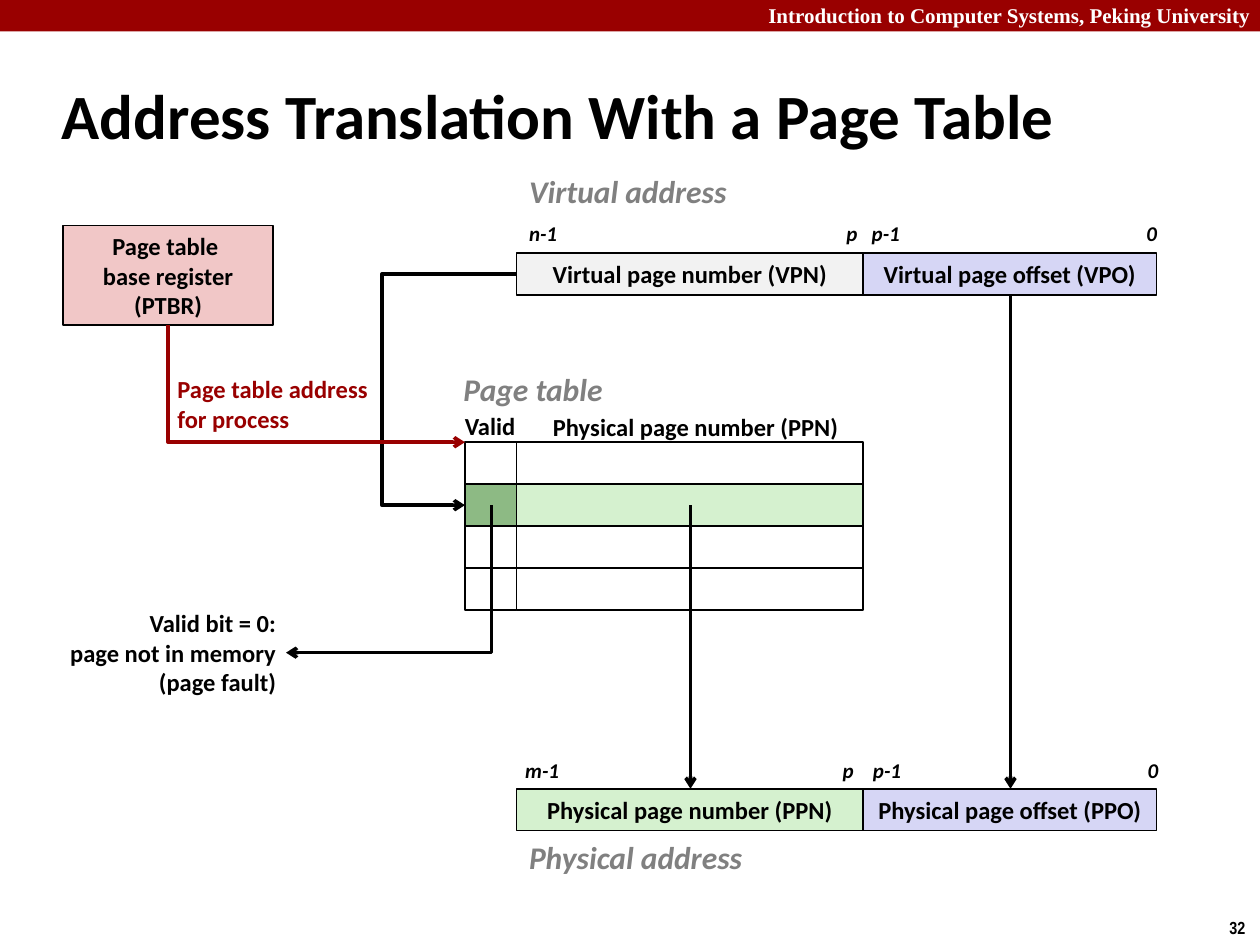
from dataclasses import dataclass
from typing import NamedTuple, Optional

from lxml.etree import SubElement
from pptx import Presentation
from pptx.dml.color import RGBColor
from pptx.enum.shapes import MSO_CONNECTOR, MSO_SHAPE
from pptx.enum.text import MSO_ANCHOR, PP_ALIGN
from pptx.oxml.ns import qn
from pptx.util import Inches, Pt

# The slide is a grid of 100 columns by 75 rows; all lengths count its cells.
COLS, ROWS = 100, 75
CELL = Inches(0.1)


class Style(NamedTuple):
    size: float
    color: str = "000000"
    italic: bool = False
    name: str = "Calibri"


@dataclass(frozen=True)
class Theme:
    ink: str = "000000"
    red: str = "990000"
    pink: str = "F1C7C7"
    gray: str = "F2F2F2"
    blue: str = "D6D6F5"
    green: str = "D5F1CF"
    moss: str = "8DBA84"
    edge: float = 1
    wire: float = 2
    title: Style = Style(36)
    body: Style = Style(14)
    note: Style = Style(14, "990000")
    head: Style = Style(18, "808080", True)
    bit: Style = Style(12, italic=True)
    course: Style = Style(12, "FFFFFF", name="Times New Roman")
    page: Style = Style(10, name="Arial Narrow")


class Area(NamedTuple):
    x: float
    y: float
    w: float
    h: float

    def emu(self) -> list[int]:
        return [round(n * CELL) for n in self]


class Label(NamedTuple):
    text: str
    area: Area
    style: Style
    align: PP_ALIGN = PP_ALIGN.LEFT
    wrap: bool = False


class Box(NamedTuple):
    area: Area
    fill: Optional[str] = None
    text: str = ""


T = Theme()
LINE = 3.33                                  # height of every field and table row
VALID, PAGE, OFF, END = 36.9, 41, 68.5, 91.8  # column edges of the fields
VIRT, TABLE, PHYS = 20.1, 35.1, 62.6         # tops of the three row groups
HIT = TABLE + 1.5 * LINE                     # middle of the entry looked up
MID_BIT, MID_PAGE, MID_OFF = 39, 54.8, 80.2
BASE = Area(5, 17.9, 16.7, 7.9)


def write(frame, text: str, style: Style, align: PP_ALIGN) -> None:
    frame.text = text
    look = {"size": Pt(style.size), "name": style.name, "bold": True, "italic": style.italic}
    for par in frame.paragraphs:
        par.alignment = align
        for key, value in look.items():
            setattr(par.font, key, value)
        par.font.color.rgb = RGBColor.from_string(style.color)


def draw_label(shapes, label: Label) -> None:
    frame = shapes.add_textbox(*label.area.emu()).text_frame
    frame.word_wrap = label.wrap
    write(frame, label.text, label.style, label.align)


def draw_box(shapes, box: Box, edge: bool = True) -> None:
    shape = shapes.add_shape(MSO_SHAPE.RECTANGLE, *box.area.emu())
    shape.shadow.inherit = False
    if box.fill:
        shape.fill.solid()
        shape.fill.fore_color.rgb = RGBColor.from_string(box.fill)
    else:
        shape.fill.background()
    if edge:
        shape.line.color.rgb = RGBColor.from_string(T.ink)
        shape.line.width = Pt(T.edge)
    else:
        shape.line.fill.background()
    if box.text:
        shape.text_frame.vertical_anchor = MSO_ANCHOR.MIDDLE
        write(shape.text_frame, box.text, T.body, PP_ALIGN.CENTER)


def draw_arrow(shapes, x0: float, y0: float, x1: float, y1: float,
               color: str = T.ink, kind=MSO_CONNECTOR.STRAIGHT):
    ends = [round(n * CELL) for n in (x0, y0, x1, y1)]
    wire = shapes.add_connector(kind, *ends)
    wire.line.color.rgb = RGBColor.from_string(color)
    wire.line.width = Pt(T.wire)
    SubElement(wire.line._ln, qn("a:tailEnd"), type="arrow")
    SubElement(wire._element.spPr, qn("a:effectLst"))
    return wire


def draw_loop(shapes, x0: float, y0: float, x1: float, y1: float, turn: float) -> None:
    """Arrow that turns at column `turn`, outside its two ends."""
    wire = draw_arrow(shapes, x0, y0, x1, y1, kind=MSO_CONNECTOR.ELBOW)
    share = round((turn - x0) / (x1 - x0) * 100000)
    guides = wire._element.spPr.prstGeom.get_or_add_avLst()
    SubElement(guides, qn("a:gd"), name="adj1", fmla=f"val {share}")


def draw_corner(shapes, x0: float, y0: float, x1: float, y1: float,
                color: str = T.ink) -> None:
    """Arrow that goes down, then across: a one-bend elbow on its side."""
    mid_x, mid_y = (x0 + x1) / 2, (y0 + y1) / 2
    half_w, half_h = (y1 - y0) / 2, abs(x1 - x0) / 2
    right = x1 > x0
    side = -half_w if right else half_w
    wire = draw_arrow(shapes, mid_x - side, mid_y - half_h, mid_x + side, mid_y + half_h,
                      color, MSO_CONNECTOR.ELBOW)
    props = wire._element.spPr
    props.prstGeom.set("prst", "bentConnector2")
    props.find(qn("a:xfrm")).set("rot", str((270 if right else 90) * 60000))


def draw_bits(shapes, top: float, marks: dict[str, float]) -> None:
    for text, left in marks.items():
        width = 3.3 if len(text) == 1 else 4.9
        draw_label(shapes, Label(text.strip("_"), Area(left, top, width, 3), T.bit))


def draw_address(shapes, top: float, page: Box, off: Box) -> None:
    draw_box(shapes, page._replace(area=Area(PAGE, top, OFF - PAGE, LINE)))
    draw_box(shapes, off._replace(area=Area(OFF, top, END - OFF, LINE)))


def draw_table(shapes) -> None:
    for row in range(4):
        top = TABLE + row * LINE
        page, valid = (T.green, T.moss) if row == 1 else (None, None)
        draw_box(shapes, Box(Area(PAGE, top, OFF - PAGE, LINE), page))
        draw_box(shapes, Box(Area(VALID, top, PAGE - VALID, LINE), valid))


LABELS = [
    Label("Introduction to Computer Systems, Peking University",
          Area(60, -0.3, 40.7, 3), T.course, wrap=True),
    Label("32", Area(96.6, 72.3, 3.4, 2.7), T.page),
    Label("Virtual address", Area(PAGE, 13.2, 17.8, 4), T.head),
    Label("Physical address", Area(PAGE, 66, 19.1, 4), T.head),
    Label("Page table", Area(35.8, 28.9, 14.2, 4), T.head, wrap=True),
    Label("Valid", Area(35.9, 32.1, 6.1, 3.4), T.body),
    Label("Physical page number (PPN)", Area(42.9, 32.2, 24.8, 3.4), T.body),
    Label("Page table address\nfor process", Area(13.1, 29.2, 17.3, 5.7), T.note),
    Label("Valid bit = 0:\npage not in memory\n(page fault)",
          Area(4.5, 47.8, 18.4, 8.1), T.body, PP_ALIGN.RIGHT),
]


def main() -> None:
    deck = Presentation()
    deck.slide_width, deck.slide_height = COLS * CELL, ROWS * CELL
    slide = deck.slides.add_slide(deck.slide_layouts[5])
    shapes = slide.shapes

    title = shapes.title
    for key, value in zip(("left", "top", "width", "height"), Area(3.9, 4.9, 83, 8.3).emu()):
        setattr(title, key, value)
    title.text_frame.vertical_anchor = MSO_ANCHOR.MIDDLE
    write(title.text_frame, "Address Translation With a Page Table", T.title, PP_ALIGN.LEFT)

    draw_box(shapes, Box(Area(0, 0, COLS, 2.5), T.red), edge=False)
    spot = Area(0, 0, 0, 0)
    draw_address(shapes, VIRT, Box(spot, T.gray, "Virtual page number (VPN)"),
                 Box(spot, T.blue, "Virtual page offset (VPO)"))
    draw_table(shapes)
    draw_address(shapes, PHYS, Box(spot, T.green, "Physical page number (PPN)"),
                 Box(spot, T.blue, "Physical page offset (PPO)"))
    draw_box(shapes, Box(BASE, T.pink, "Page table \vbase register\n(PTBR)"))

    draw_loop(shapes, PAGE, VIRT + LINE / 2, VALID, HIT, turn=30.3)
    draw_arrow(shapes, MID_OFF, VIRT + LINE, MID_OFF, PHYS)
    draw_arrow(shapes, MID_PAGE, HIT, MID_PAGE, PHYS)
    draw_corner(shapes, MID_BIT, HIT, 22.7, 51.8)
    draw_corner(shapes, BASE.x + BASE.w / 2, BASE.y + BASE.h, VALID, TABLE, T.red)

    for label in LABELS:
        draw_label(shapes, label)
    draw_bits(shapes, 17, {"n-1": 41, "p": 66.2, "p-1": 68.2, "0": 90})
    draw_bits(shapes, 59.6, {"m-1": 40.7, "p": 65.9, "p-1": 68.3, "0": 90.1})
    deck.save("out.pptx")


if __name__ == "__main__":
    main()
